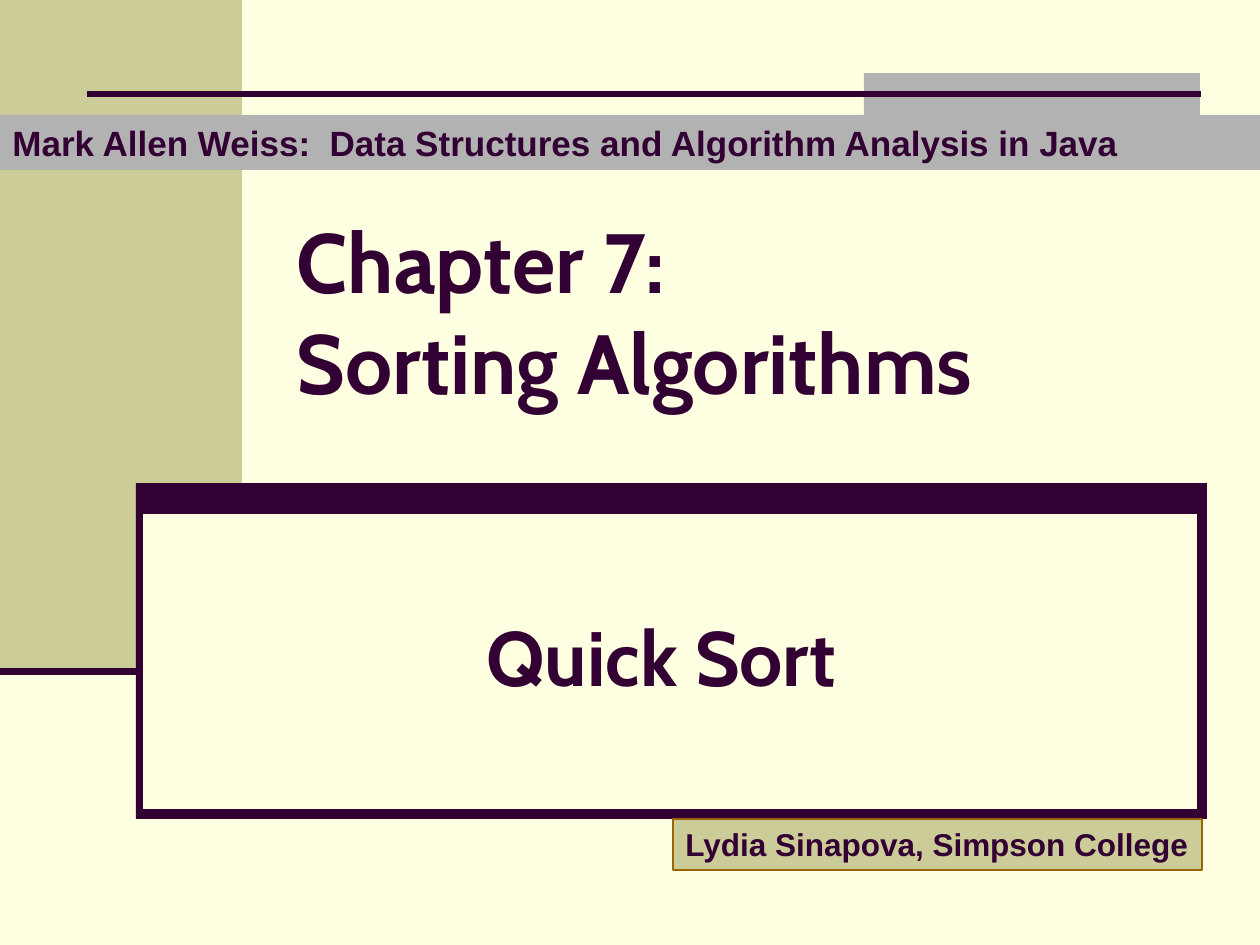
from lxml.etree import SubElement
from pptx import Presentation
from pptx.dml.color import RGBColor
from pptx.enum.shapes import MSO_CONNECTOR, MSO_SHAPE
from pptx.enum.text import MSO_ANCHOR, MSO_AUTO_SIZE, PP_ALIGN
from pptx.oxml.ns import qn
from pptx.util import Emu, Pt

PX_PER_INCH = 126
CREAM = RGBColor(0xFF, 0xFF, 0xE1)
KHAKI = RGBColor(0xCC, 0xCC, 0x99)
PLUM = RGBColor(0x33, 0x00, 0x33)
GREY = RGBColor(0xB2, 0xB2, 0xB2)
BROWN = RGBColor(0x99, 0x66, 0x00)


def px(value):
    return Emu(round(value * 914400 / PX_PER_INCH))


def add_block(slide, left, top, width, height, fill, outline=None):
    shape = slide.shapes.add_shape(
        MSO_SHAPE.RECTANGLE, px(left), px(top), px(width), px(height))
    shape.shadow.inherit = False
    shape.fill.solid()
    shape.fill.fore_color.rgb = fill
    if outline is None:
        shape.line.fill.background()
    else:
        shape.line.color.rgb = outline
        shape.line.width = Pt(1)
    return shape


def add_rule(slide, left, right, y, weight):
    connector = slide.shapes.add_connector(
        MSO_CONNECTOR.STRAIGHT, px(left), px(y), px(right), px(y))
    connector.line.color.rgb = PLUM
    connector.line.width = Pt(weight)
    SubElement(connector._element.spPr, qn("a:effectLst"))


def set_text(shape, text, font_name, size, alignment=PP_ALIGN.LEFT,
             anchor=MSO_ANCHOR.MIDDLE, wrap=True):
    frame = shape.text_frame
    frame.word_wrap = wrap
    frame.auto_size = MSO_AUTO_SIZE.NONE
    frame.vertical_anchor = anchor
    frame.text = text
    paragraph = frame.paragraphs[0]
    paragraph.alignment = alignment
    paragraph.font.name = font_name
    paragraph.font.size = Pt(size)
    paragraph.font.bold = True
    paragraph.font.color.rgb = PLUM


def add_header(slide, left, top, width):
    # Grey tab with a rule across it
    add_block(slide, left + 864, top, 336, 42, GREY)
    add_rule(slide, left + 87, left + 1201, top + 21, 3.5)
    # Full-width banner with the book's name
    banner = add_block(slide, left, top + 42, width, 55, GREY)
    set_text(banner, "Mark Allen Weiss:  Data Structures and Algorithm Analysis in Java",
             "Arial", 20, anchor=MSO_ANCHOR.TOP)


def place_title(slide, left, top, width, height):
    title = slide.shapes.title
    title.left, title.top = px(left), px(top)
    title.width, title.height = px(width), px(height)
    set_text(title, "Chapter 7:\vSorting Algorithms", "Cabin", 48)


def add_topic_panel(slide, left, top, width, height):
    # Plum frame, thicker at the top, around a cream panel
    add_block(slide, left, top, width, height, PLUM)
    add_block(slide, left + 7, top + 31, width - 17, height - 41, CREAM)
    # Topic
    topic = slide.shapes.add_textbox(
        px(left + 53), px(top + 63), px(945), px(220))
    set_text(topic, "Quick Sort", "Cabin", 44, PP_ALIGN.CENTER)
    # Author label hanging below the frame
    author = add_block(slide, left + 537, top + height, 529, 51, KHAKI, BROWN)
    set_text(author, "Lydia Sinapova, Simpson College", "Arial", 18,
             anchor=MSO_ANCHOR.TOP, wrap=False)


def main():
    presentation = Presentation()
    presentation.slide_width, presentation.slide_height = px(1260), px(945)
    slide = presentation.slides.add_slide(presentation.slide_layouts[5])
    slide.background.fill.solid()
    slide.background.fill.fore_color.rgb = CREAM

    # Side column and the rule at its foot
    add_block(slide, 0, 0, 242, 672, KHAKI)
    add_rule(slide, 0, 136, 672, 4)

    add_header(slide, 0, 73, 1260)
    place_title(slide, 284, 158, 914, 305)
    add_topic_panel(slide, 136, 483, 1071, 336)
    presentation.save("out.pptx")


if __name__ == "__main__":
    main()
